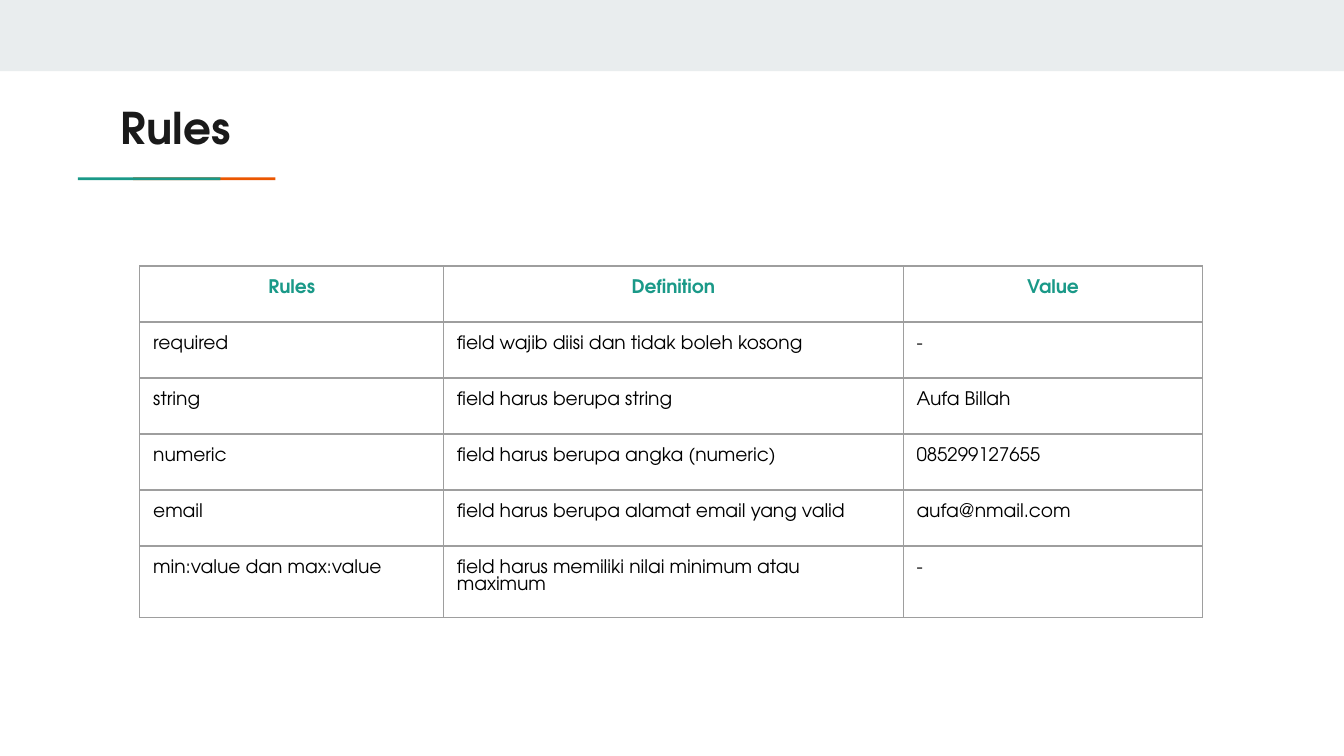
from dataclasses import dataclass

import pptx
import pptx.dml.color
import pptx.enum.shapes
import pptx.enum.text
import pptx.oxml
import pptx.oxml.ns
import pptx.util
from pptx.util import Inches

FONT = "TeX Gyre Adventor"
COLORS = {
    "band": "E9EDEE",
    "orange": "EB5600",
    "teal": "1A9988",
    "title": "1A1A1A",
    "text": "000000",
    "border": "9E9E9E",
}
COLUMN_WIDTHS = (2.26, 3.42, 2.23)
TABLE_HEIGHT = 2.5
ROWS = (
    ("Rules", "Definition", "Value"),
    ("required", "field wajib diisi dan tidak boleh kosong", "-"),
    ("string", "field harus berupa string", "Aufa Billah"),
    ("numeric", "field harus berupa angka (numeric)", "085299127655"),
    ("email", "field harus berupa alamat email yang valid", "aufa@nmail.com"),
    ("min:value dan max:value", "field harus memiliki nilai minimum atau maximum", "-"),
)


@dataclass
class Bar:
    left: float
    top: float
    width: float
    height: float
    color: str


BARS = (
    Bar(0, 0, 10, 0.53, "band"),
    Bar(0.99, 1.32, 1.06, 0.02, "orange"),
    Bar(0.58, 1.32, 1.06, 0.02, "teal"),
)


def rgb(name: str) -> pptx.dml.color.RGBColor:
    return pptx.dml.color.RGBColor.from_string(COLORS[name])


def add_bar(slide, bar: Bar) -> None:
    shape = slide.shapes.add_shape(
        pptx.enum.shapes.MSO_SHAPE.RECTANGLE,
        Inches(bar.left), Inches(bar.top), Inches(bar.width), Inches(bar.height),
    )
    shape.shadow.inherit = False
    shape.fill.solid()
    shape.fill.fore_color.rgb = rgb(bar.color)
    shape.line.fill.background()


def style_font(font, size: float, color: str, bold: bool) -> None:
    font.name = FONT
    font.size = pptx.util.Pt(size)
    font.bold = bold
    font.color.rgb = rgb(color)


def set_margins(holder) -> None:
    holder.margin_left = holder.margin_right = Inches(0.1)
    holder.margin_top = holder.margin_bottom = Inches(0.1)


def add_title(slide, text: str) -> None:
    box = slide.shapes.add_textbox(Inches(0.8), Inches(0.65), Inches(8.41), Inches(0.59))
    frame = box.text_frame
    frame.word_wrap = True
    frame.vertical_anchor = pptx.enum.text.MSO_ANCHOR.BOTTOM
    set_margins(frame)
    frame.text = text
    style_font(frame.paragraphs[0].font, 23.4, "title", True)


def set_borders(cell) -> None:
    properties = cell._tc.get_or_add_tcPr()
    # Borders must come before the cell's fill
    for index, side in enumerate(("lnL", "lnR", "lnT", "lnB")):
        border = pptx.oxml.parse_xml(
            f'<a:{side} {pptx.oxml.ns.nsdecls("a")} w="{pptx.util.Pt(0.75)}">'
            f'<a:solidFill><a:srgbClr val="{COLORS["border"]}"/></a:solidFill></a:{side}>'
        )
        properties.insert(index, border)


def fill_cell(cell, text: str, is_header: bool) -> None:
    cell.text = text
    set_margins(cell)
    cell.fill.background()
    set_borders(cell)
    paragraph = cell.text_frame.paragraphs[0]
    # Row heights follow the run size, not the paragraph default
    style_font(paragraph.runs[0].font, 10, "teal" if is_header else "text", is_header)
    if is_header:
        paragraph.alignment = pptx.enum.text.PP_ALIGN.CENTER


def add_rules_table(slide) -> None:
    table = slide.shapes.add_table(
        len(ROWS), len(COLUMN_WIDTHS), Inches(1.04), Inches(1.98),
        Inches(sum(COLUMN_WIDTHS)), Inches(TABLE_HEIGHT),
    ).table
    table.first_row = table.horz_banding = False
    for column, width in zip(table.columns, COLUMN_WIDTHS):
        column.width = Inches(width)
    for row_index, texts in enumerate(ROWS):
        table.rows[row_index].height = Inches(TABLE_HEIGHT / len(ROWS))
        for column_index, text in enumerate(texts):
            fill_cell(table.cell(row_index, column_index), text, row_index == 0)


def main() -> None:
    presentation = pptx.Presentation()
    # Widescreen, 16:9
    presentation.slide_width = Inches(10)
    presentation.slide_height = Inches(10 * 9 / 16)
    slide = presentation.slides.add_slide(presentation.slide_layouts[6])

    # Top band and two-colour underline
    for bar in BARS:
        add_bar(slide, bar)

    # Heading and table of rules
    add_title(slide, "Rules")
    add_rules_table(slide)

    presentation.save("out.pptx")


if __name__ == "__main__":
    main()
